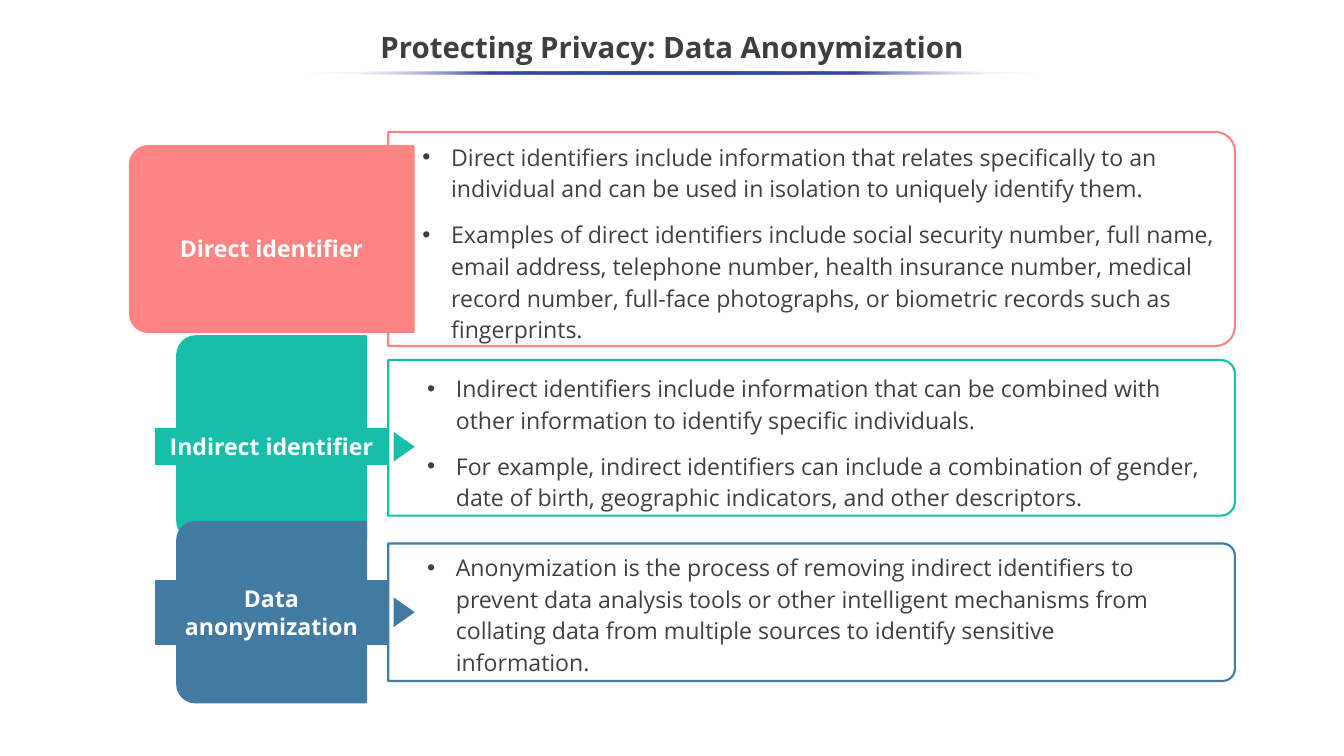
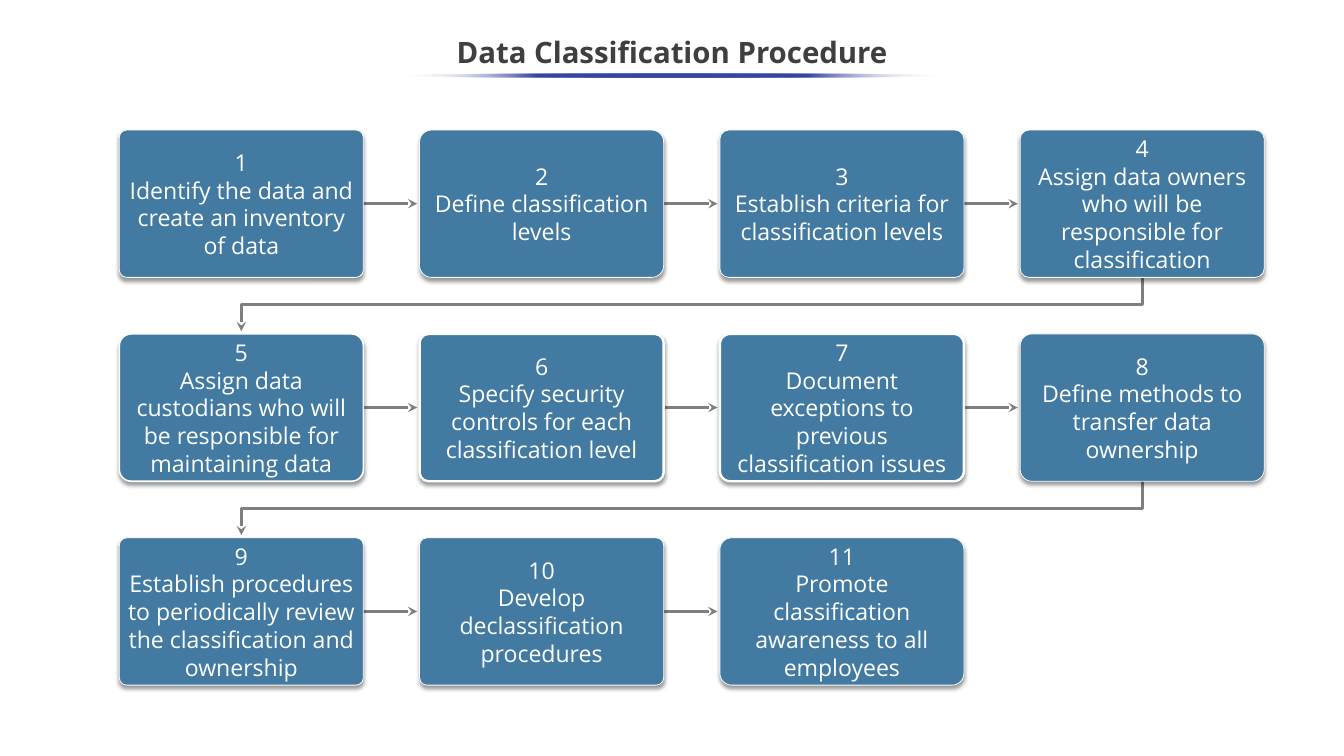
import lxml.etree
import pptx
import pptx.dml.color
import pptx.enum.shapes
import pptx.enum.text
import pptx.oxml.ns
import pptx.util

Cm = pptx.util.Cm
Pt = pptx.util.Pt
qn = pptx.oxml.ns.qn
Kind = pptx.enum.shapes.MSO_SHAPE
Align = pptx.enum.text.PP_ALIGN
Anchor = pptx.enum.text.MSO_ANCHOR

FONT = "Open Sans"
INK, WHITE, GRAY, INDIGO = "3F3F3F", "FFFFFF", "7F7F7F", "3645A9"
CORAL, TEAL, BLUE = "FF8585", "17BFAB", "427AA1"
WIDE, TALL = 45.16, 25.4

TERMS = [
    dict(name="Direct identifier", color=CORAL, mid=8.03, panel=7.19, tab=(9.53, 6.25),
         band=(7.75, 1.19), tip=(8.15, 1.5), note=(13.94, 4.55, 27.74, 7.19),
         text="Direct identifiers include information that relates specifically to an individual "
              "and can be used in isolation to uniquely identify them.\n"
              "Examples of direct identifiers include social security number, full name, email "
              "address, telephone number, health insurance number, medical record number, "
              "full-face photographs, or biometric records such as fingerprints."),
    dict(name="Indirect identifier", color=TEAL, mid=14.71, panel=5.23, tab=(6.35, 6.83),
         band=(14.4, 1.19), tip=(15.01, 1), note=(14.1, 12.32, 26.72, 5.23),
         text="Indirect identifiers include information that can be combined with other "
              "information to identify specific individuals.\n"
              "For example, indirect identifiers can include a combination of gender, date of "
              "birth, geographic indicators, and other descriptors."),
    dict(name="Data anonymization", color=BLUE, mid=20.57, panel=4.62, tab=(6.35, 6.05),
         band=(19.51, 2.13), tip=(20.57, 1), note=(14.1, 18.34, 26.09, 4.55),
         text="Anonymization is the process of removing indirect identifiers to prevent data "
              "analysis tools or other intelligent mechanisms from collating data from multiple "
              "sources to identify sensitive information."),
]

STEPS = [
    ("Identify the data and create an inventory of data", 0.05, 0.75),
    ("Define classification levels", 0.08, 0.75),
    ("Establish criteria for classification levels", 0.06, 0.75),
    ("Assign data owners who will be responsible for classification", 0.06, 0.75),
    ("Assign data custodians who will be responsible for maintaining data", 0.08, 1.5),
    ("Specify security controls for each classification level", 0.06, 2.25),
    ("Document exceptions to previous classification issues", 0.07, 2.25),
    ("Define methods to transfer data ownership", 0.08, 0.75),
    ("Establish procedures to periodically review the classification and ownership", 0.05, 0.75),
    ("Develop declassification procedures", 0.05, 0.75),
    ("Promote classification awareness to all employees", 0.08, 0.75),
]


def tint(code):
    """Turn a hex string into a colour."""
    return pptx.dml.color.RGBColor.from_string(code)


def node(parent, tag, **attrs):
    """Append a drawing element to a parent."""
    return lxml.etree.SubElement(parent, qn("a:" + tag), attrs)


def write(shape, text, size=22, color=WHITE, bold=False, align=Align.CENTER,
          anchor=Anchor.TOP, space=1.0, gap=0, bullet=False, inset=(0.25, 0.13)):
    """Fill a shape with formatted text, one paragraph per line."""
    frame = shape.text_frame
    frame.word_wrap = True
    frame.vertical_anchor = anchor
    frame.margin_left = frame.margin_right = Cm(inset[0])
    frame.margin_top = frame.margin_bottom = Cm(inset[1])
    for index, line in enumerate(text.split("\n")):
        para = frame.add_paragraph() if index else frame.paragraphs[0]
        if bullet:
            props = para._p.get_or_add_pPr()
            props.set("marL", str(Cm(0.97)))
            props.set("indent", str(-Cm(0.97)))
            node(node(props, "buClr"), "srgbClr", val=color)
            node(props, "buFont", typeface="Arial")
            node(props, "buChar", char="•")
        para.alignment = align
        para.line_spacing = space
        if index and gap:
            para.space_before = Pt(gap)
        run = para.add_run()
        run.text = line
        run.font.name = FONT
        run.font.size = Pt(size)
        run.font.bold = bold
        run.font.color.rgb = tint(color)


class Deck:
    """Holds the shared style and the current slide."""

    def __init__(self):
        """Start an empty deck."""
        self.file = pptx.Presentation()
        self.file.slide_width = Cm(WIDE)
        self.file.slide_height = Cm(TALL)

    def page(self, title, top, rule, width):
        """Add a slide with its title and the fading rule below."""
        self.shapes = self.file.slides.add_slide(self.file.slide_layouts[6]).shapes
        self.label(title, 0, top, WIDE, 1.85, size=28, color=INK, bold=True,
                   anchor=Anchor.MIDDLE, space=0.9)
        bar = self.shape(Kind.OVAL, (WIDE - width) / 2, rule, width, 0.1)
        bar.fill.gradient()
        bar.fill.gradient_angle = 180
        stops = bar.element.spPr.find(qn("a:gradFill")).find(qn("a:gsLst"))
        stops.clear()
        for place in (0, 25, 50, 75, 100):
            edge = place in (0, 100)
            stop = node(stops, "gs", pos=str(place * 1000))
            shade = node(stop, "srgbClr", val=WHITE if edge else INDIGO)
            if edge:
                node(shade, "alpha", val="0")

    def label(self, text, left, top, width, height, **style):
        """Add a text box."""
        box = self.shapes.add_textbox(Cm(left), Cm(top), Cm(width), Cm(height))
        write(box, text, **style)

    def shape(self, kind, left, top, width, height, fill=None, line=None, weight=0.75, bend=None):
        """Add a flat preset shape."""
        item = self.shapes.add_shape(kind, Cm(left), Cm(top), Cm(width), Cm(height))
        item.shadow.inherit = False
        if fill:
            item.fill.solid()
            item.fill.fore_color.rgb = tint(fill)
        if line:
            item.line.color.rgb = tint(line)
            item.line.width = Pt(weight)
        else:
            item.line.fill.background()
        if bend is not None:
            item.adjustments[0] = bend
        return item

    def turn(self, kind, angle, across, down, width, height, **style):
        """Add a quarter-turned shape by its centre and its visible size."""
        item = self.shape(kind, across - height / 2, down - width / 2, height, width, **style)
        item.rotation = angle

    def card(self, text, left, top, width, height, bend, weight):
        """Add a rounded card with a soft shadow."""
        item = self.shape(Kind.ROUNDED_RECTANGLE, left, top, width, height,
                          fill=BLUE, line=WHITE, weight=weight, bend=bend)
        shade = node(item.element.spPr.find(qn("a:effectLst")), "outerShdw",
                     blurRad=str(Pt(4)), dist=str(Pt(3)), dir="5400000", rotWithShape="0")
        node(node(shade, "srgbClr", val="000000"), "alpha", val="40000")
        write(item, text, anchor=Anchor.MIDDLE, inset=(0.13, 0.13))

    def point(self, item):
        """Give a line its gray stroke and arrowhead."""
        item.line.color.rgb = tint(GRAY)
        item.line.width = Pt(3)
        node(item.element.spPr.find(qn("a:ln")), "tailEnd", type="stealth")

    def arrow(self, left, top, length):
        """Add a straight arrow to the right."""
        item = self.shapes.add_connector(pptx.enum.shapes.MSO_CONNECTOR.STRAIGHT,
                                         Cm(left), Cm(top), Cm(left + length), Cm(top))
        self.point(item)
        node(item.element.spPr, "effectLst")

    def elbow(self, *spots):
        """Add a bent arrow through the given spots."""
        spots = [(Cm(across), Cm(down)) for across, down in spots]
        build = self.shapes.build_freeform(*spots[0])
        build.add_line_segments(spots[1:], close=False)
        item = build.convert_to_shape()
        item.shadow.inherit = False
        item.fill.background()
        self.point(item)


def privacy(deck):
    """Draw the three terms with their notes."""
    deck.page("Protecting Privacy: Data Anonymization", 0.71, 2.39, 24.54)
    for term in TERMS:
        color, mid = term["color"], term["mid"]
        deck.turn(Kind.ROUND_2_SAME_RECTANGLE, 90, 27.27, mid, 28.45, term["panel"],
                  fill=WHITE, line=color, weight=2, bend=0.09)
        deck.turn(Kind.ROUND_2_SAME_RECTANGLE, 270, 9.13, mid, *term["tab"],
                  fill=color, line=color, weight=2, bend=0.1)
        down, height = term["tip"]
        deck.turn(Kind.ISOSCELES_TRIANGLE, 90, 13.58, down, 0.71, height, fill=color)
        top, height = term["band"]
        band = deck.shape(Kind.RECTANGLE, 5.21, top, 7.82, height, fill=color, line=color)
        write(band, term["name"], bold=True)
        deck.label(term["text"], *term["note"], color=INK, align=Align.LEFT,
                   space=1.14, gap=13.8, bullet=True)


def steps(deck):
    """Draw the numbered steps in rows of four."""
    deck.page("Data Classification Procedure", 0.89, 2.49, 18.16)
    cols, left, top, width, height = 4, 4.01, 4.37, 8.2, 4.95
    pitch, drop, reach = 10.09, 6.85, 1.81
    for index, (text, bend, weight) in enumerate(STEPS):
        row, col = divmod(index, cols)
        across, down = left + col * pitch, top + row * drop
        if index + 1 < len(STEPS):
            if col < cols - 1:
                deck.arrow(across + width, down + height / 2, reach)
            else:
                start, end, base = across + width / 2, left + width / 2, down + height
                deck.elbow((start, base), (start, base + reach / 2),
                           (end, base + reach / 2), (end, base + reach))
        deck.card(f"{index + 1}\n{text}", across, down, width, height, bend, weight)


def main():
    """Build and save the deck."""
    deck = Deck()
    privacy(deck)
    steps(deck)
    deck.file.save("out.pptx")


if __name__ == "__main__":
    main()
